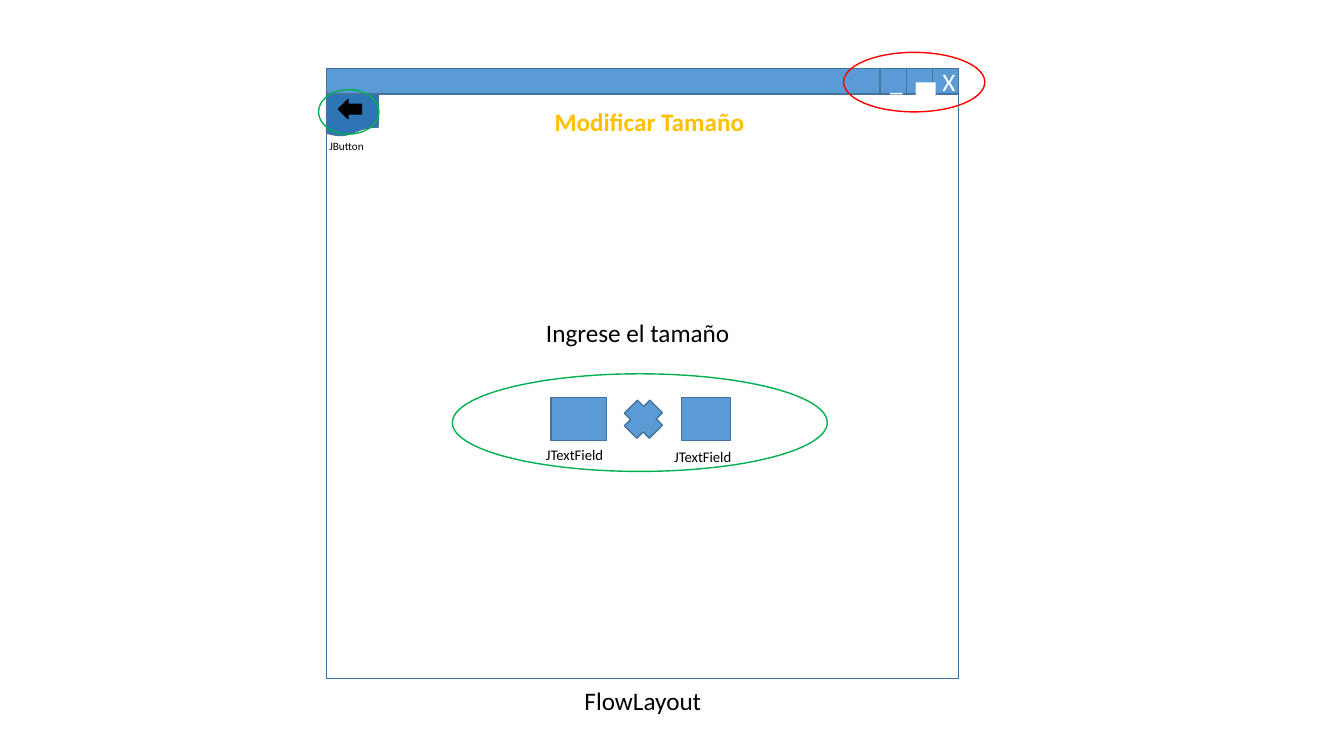
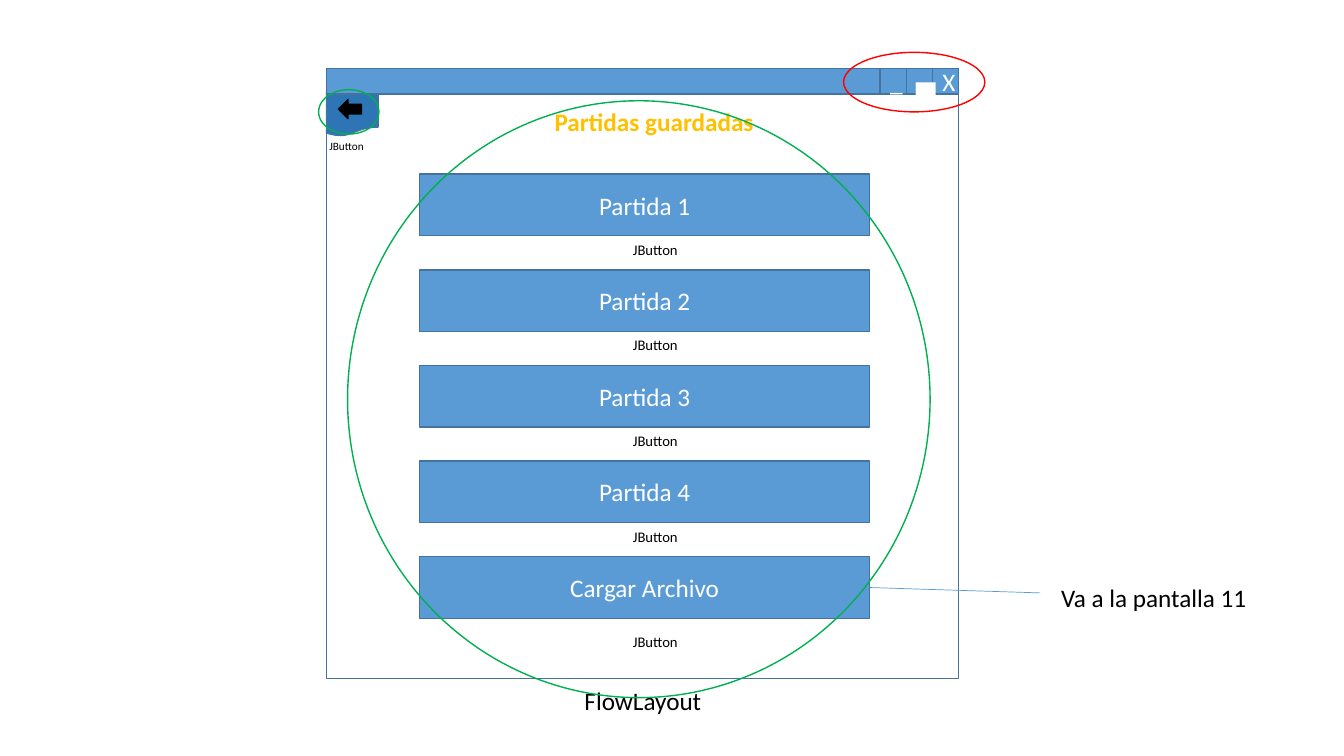
from lxml.etree import SubElement
from pptx import Presentation
from pptx.dml.color import RGBColor
from pptx.enum.shapes import MSO_CONNECTOR, MSO_SHAPE
from pptx.enum.text import MSO_ANCHOR, MSO_AUTO_SIZE, PP_ALIGN
from pptx.oxml.ns import qn
from pptx.util import Cm, Pt

BLUE = RGBColor(0x5B, 0x9B, 0xD5)
DARK_BLUE = RGBColor(0x2E, 0x75, 0xB6)
OUTLINE = RGBColor(0x43, 0x73, 0x9E)
GOLD = RGBColor(0xFF, 0xC0, 0x00)
RED = RGBColor(0xFF, 0x00, 0x00)
GREEN = RGBColor(0x00, 0xB0, 0x50)
BLACK = RGBColor(0x00, 0x00, 0x00)
WHITE = RGBColor(0xFF, 0xFF, 0xFF)

FONT = "Calibri"
TITLE_ONLY = 5
RIGHT_SIDE = 3

WINDOW_LEFT, WINDOW_TOP, WINDOW_WIDTH = 8.23, 2.29, 15.93
BAR_TOP, BAR_HEIGHT = 1.73, 0.64
CONTROL_WIDTH = 0.66
GAME_TOP, GAME_HEIGHT, GAME_PITCH = 4.39, 1.55, 2.41


def lengths(box):
    return [Cm(value) for value in box]


def write(frame, text, size, color, bold=False, align=PP_ALIGN.LEFT):
    frame.text = text
    paragraph = frame.paragraphs[0]
    paragraph.alignment = align
    font = paragraph.font
    font.name, font.size, font.bold = FONT, Pt(size), bold
    font.color.rgb = color


def add_block(slide, preset, box, fill=BLUE, line=OUTLINE, text=None):
    block = slide.shapes.add_shape(preset, *lengths(box))
    block.shadow.inherit = False
    if fill is None:
        block.fill.background()
    else:
        block.fill.solid()
        block.fill.fore_color.rgb = fill
    block.line.color.rgb = line
    block.line.width = Pt(1)
    if text:
        block.text_frame.vertical_anchor = MSO_ANCHOR.MIDDLE
        write(block.text_frame, text, 18, WHITE, align=PP_ALIGN.CENTER)
    return block


def add_label(slide, text, box, size=18, wrap=False):
    frame = slide.shapes.add_textbox(*lengths(box)).text_frame
    frame.word_wrap = wrap
    write(frame, text, size, BLACK)


def add_ring(slide, box, color=GREEN):
    add_block(slide, MSO_SHAPE.OVAL, box, fill=None, line=color)


def add_link(slide, source, end):
    link = slide.shapes.add_connector(MSO_CONNECTOR.STRAIGHT, 0, 0, *lengths(end))
    link.begin_connect(source, RIGHT_SIDE)
    link.line.color.rgb = BLUE
    link.line.width = Pt(0.5)
    SubElement(link.element.spPr, qn("a:effectLst"))


def place_title(slide, text, window):
    title = slide.shapes.title
    title.left, title.top, title.width, title.height = lengths((13.72, 2.54, 5.64, 1.8))
    frame = title.text_frame
    frame.vertical_anchor = MSO_ANCHOR.TOP
    frame.auto_size = MSO_AUTO_SIZE.NONE
    write(frame, text, 18, GOLD, bold=True)
    window.element.addnext(title.element)


def add_window(prs, title):
    slide = prs.slides.add_slide(prs.slide_layouts[TITLE_ONLY])
    window = add_block(slide, MSO_SHAPE.RECTANGLE,
                       (WINDOW_LEFT, WINDOW_TOP, WINDOW_WIDTH, 14.81), fill=WHITE)
    place_title(slide, title, window)

    add_block(slide, MSO_SHAPE.FLOWCHART_DOCUMENT,
              (WINDOW_LEFT, WINDOW_TOP, 1.3, 1.14), fill=DARK_BLUE)
    add_block(slide, MSO_SHAPE.LEFT_ARROW, (8.53, 2.51, 0.58, 0.48), BLACK, BLACK)
    add_label(slide, "JButton", (8.05, 3.38, 1.78, 0.61), size=8, wrap=True)
    add_label(slide, "FlowLayout", (14.48, 17.15, 3.48, 1.02))

    add_block(slide, MSO_SHAPE.RECTANGLE,
              (WINDOW_LEFT, BAR_TOP, WINDOW_WIDTH, BAR_HEIGHT))
    for place, symbol in enumerate("X▄_", start=1):
        left = WINDOW_LEFT + WINDOW_WIDTH - place * CONTROL_WIDTH
        add_block(slide, MSO_SHAPE.RECTANGLE,
                  (left, BAR_TOP, CONTROL_WIDTH, BAR_HEIGHT), text=symbol)
    add_ring(slide, (21.26, 1.32, 3.56, 1.5), RED)
    add_ring(slide, (8.03, 2.26, 1.52, 1.12))
    return slide


def build_resize_screen(prs):
    slide = add_window(prs, "Modificar Tamaño")
    add_label(slide, "Ingrese el tamaño", (13.51, 7.87, 5.16, 1.02), wrap=True)
    for left, width in ((13.89, 1.4), (17.17, 1.24)):
        add_block(slide, MSO_SHAPE.RECTANGLE, (left, 10.01, width, 1.09))
    times_sign = add_block(slide, MSO_SHAPE.CROSS, (15.77, 10.11, 0.89, 0.91))
    times_sign.rotation = 45
    for left, top in ((13.51, 11.1), (16.74, 11.15)):
        add_label(slide, "JTextField", (left, top, 2.08, 0.74), size=10.5)
    add_ring(slide, (11.4, 9.42, 9.45, 2.46))


def build_saved_games_screen(prs):
    slide = add_window(prs, "Partidas guardadas")
    games = [f"Partida {number}" for number in range(1, 5)]
    for row, game in enumerate(games + ["Cargar Archivo"]):
        top = GAME_TOP + row * GAME_PITCH
        button = add_block(slide, MSO_SHAPE.RECTANGLE,
                           (10.57, top, 11.35, GAME_HEIGHT), text=game)
        gap = 0 if row < len(games) else 0.24
        add_label(slide, "JButton", (15.7, top + GAME_HEIGHT + gap, 1.68, 0.71),
                  size=10.5)
    add_link(slide, button, (26.21, 14.94))
    add_label(slide, "Va a la pantalla 11", (26.49, 14.55, 5.23, 1.02))
    add_ring(slide, (8.76, 2.54, 14.68, 15.04))


def main():
    prs = Presentation()
    prs.slide_width, prs.slide_height = Cm(33.87), Cm(19.05)
    build_resize_screen(prs)
    build_saved_games_screen(prs)
    prs.save("out.pptx")


main()
